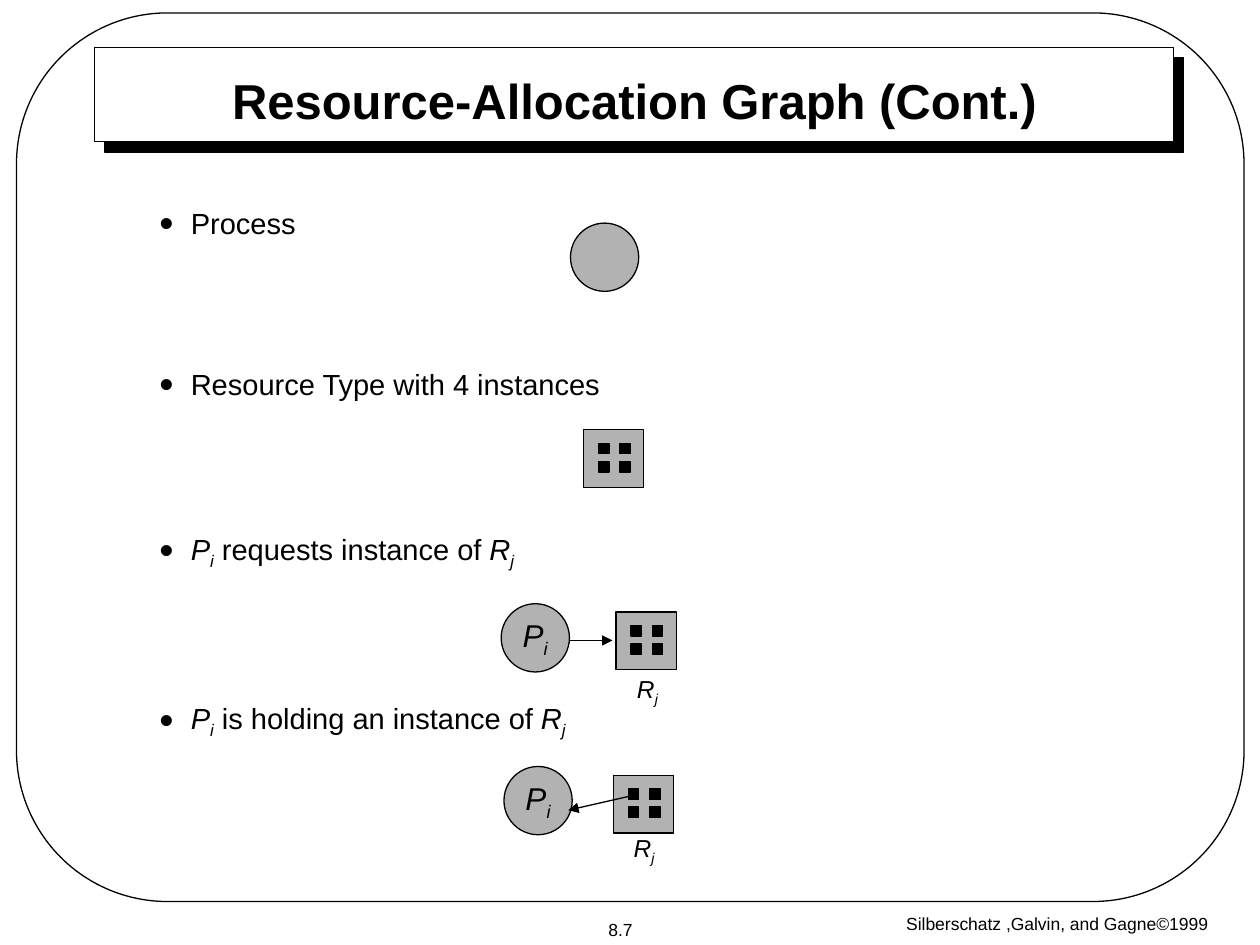
from lxml import etree
from pptx import Presentation
from pptx.dml.color import RGBColor
from pptx.enum.shapes import MSO_CONNECTOR, MSO_SHAPE
from pptx.enum.text import MSO_ANCHOR, MSO_AUTO_SIZE, PP_ALIGN
from pptx.oxml import parse_xml
from pptx.oxml.ns import nsdecls, qn
from pptx.util import Pt

RECTANGLE = MSO_SHAPE.RECTANGLE
ROUNDED = MSO_SHAPE.ROUNDED_RECTANGLE
ELLIPSE = MSO_SHAPE.OVAL
STRAIGHT = MSO_CONNECTOR.STRAIGHT
MIDDLE, TOP = MSO_ANCHOR.MIDDLE, MSO_ANCHOR.TOP
CENTER, LEFT = PP_ALIGN.CENTER, PP_ALIGN.LEFT
NO_AUTOFIT = MSO_AUTO_SIZE.NONE

# A text is a list of (words, style); styles: "" plain, "i" italic, "s" italic subscript.
PROCESS_NAME = [("P", "i"), ("i", "s")]
RESOURCE_NAME = [("R", "i"), ("j", "s")]


def color(hex_string):
    return RGBColor.from_string(hex_string)


class GraphSlide:
    font_name = "Arial"
    ink = "000000"
    paper = "FFFFFF"
    node_fill = "B2B2B2"
    line_width = 0.75
    circle_size = 39
    resource_size = (34.5, 33)
    dot_size = 6
    dot_offset = (8.6, 7.8)
    dot_step = (12.2, 10.4)

    def __init__(self, slide):
        self.slide = slide

    def format_line(self, line):
        line.color.rgb = color(self.ink)
        line.width = Pt(self.line_width)

    def shape(self, kind, left, top, width, height, fill=None, parent=None):
        shapes = (parent or self.slide).shapes
        shape = shapes.add_shape(kind, Pt(left), Pt(top), Pt(width), Pt(height))
        shape.shadow.inherit = False
        if fill:
            shape.fill.solid()
            shape.fill.fore_color.rgb = color(fill)
        else:
            shape.fill.background()
        self.format_line(shape.line)
        return shape

    def title_frame(self, left, top, width, height):
        frame = self.shape(RECTANGLE, left, top, width, height, self.paper)
        effects = frame._element.spPr.find(qn("a:effectLst"))
        effects.append(parse_xml(
            f'<a:outerShdw {nsdecls("a")} dist="107950" dir="2700000" algn="tl" '
            f'rotWithShape="0"><a:srgbClr val="{self.ink}"/></a:outerShdw>'))

    def fill_paragraph(self, paragraph, parts, size, align=CENTER, bold=False):
        paragraph.alignment = align
        font = paragraph.font
        font.name, font.size, font.bold = self.font_name, Pt(size), bold
        font.color.rgb = color(self.ink)
        for words, style in parts:
            run = paragraph.add_run()
            run.text = words
            if style:
                run.font.italic = True
            if style == "s":
                run._r.get_or_add_rPr().set("baseline", "-25000")

    def title(self, text, left, top, width, height):
        title = self.slide.shapes.title
        title.left, title.top = Pt(left), Pt(top)
        title.width, title.height = Pt(width), Pt(height)
        frame = title.text_frame
        frame.auto_size = NO_AUTOFIT
        frame.vertical_anchor = MIDDLE
        self.fill_paragraph(frame.paragraphs[0], [(text, "")], 28, bold=True)
        # Bring the title in front of its frame
        title._element.getparent().append(title._element)

    def text_box(self, left, top, width, height, anchor=MIDDLE, wrap=False):
        box = self.slide.shapes.add_textbox(Pt(left), Pt(top), Pt(width), Pt(height))
        frame = box.text_frame
        frame.auto_size = NO_AUTOFIT
        frame.word_wrap = wrap
        frame.vertical_anchor = anchor
        return frame

    def label(self, parts, size, left, top, width, height):
        frame = self.text_box(left, top, width, height)
        self.fill_paragraph(frame.paragraphs[0], parts, size)

    def bullets(self, items, left, top, width, height):
        """Set (space before, parts) items as one bulleted list."""
        frame = self.text_box(left, top, width, height, TOP, wrap=True)
        for index, (space, parts) in enumerate(items):
            paragraph = frame.add_paragraph() if index else frame.paragraphs[0]
            properties = paragraph._p.get_or_add_pPr()
            properties.set("marL", str(Pt(18)))
            properties.set("indent", str(-Pt(18)))
            bullet_color = etree.SubElement(properties, qn("a:buClr"))
            etree.SubElement(bullet_color, qn("a:srgbClr"), val=self.ink)
            etree.SubElement(properties, qn("a:buSzPct"), val="140000")
            etree.SubElement(properties, qn("a:buFont"), typeface=self.font_name)
            etree.SubElement(properties, qn("a:buChar"), char="•")
            if index:
                paragraph.space_before = Pt(space)
            self.fill_paragraph(paragraph, parts, 16.6, LEFT)

    def process(self, left, top, parts=()):
        circle = self.shape(ELLIPSE, left, top, self.circle_size, self.circle_size,
                            self.node_fill)
        if parts:
            frame = circle.text_frame
            frame.word_wrap = False
            frame.vertical_anchor = MIDDLE
            self.fill_paragraph(frame.paragraphs[0], parts, 18)

    def resource(self, left, top):
        """Draw a resource type as a box with a 2 by 2 grid of instances."""
        group = self.slide.shapes.add_group_shape()
        self.shape(RECTANGLE, left, top, *self.resource_size, self.node_fill, group)
        for row in range(2):
            for column in range(2):
                self.shape(RECTANGLE,
                           left + self.dot_offset[0] + column * self.dot_step[0],
                           top + self.dot_offset[1] + row * self.dot_step[1],
                           self.dot_size, self.dot_size, self.ink, group)

    def arrow(self, start, end):
        points = [Pt(value) for value in (*start, *end)]
        connector = self.slide.shapes.add_connector(STRAIGHT, *points)
        self.format_line(connector.line)
        line = connector._element.spPr.find(qn("a:ln"))
        etree.SubElement(line, qn("a:tailEnd"), type="triangle")
        etree.SubElement(connector._element.spPr, qn("a:effectLst"))


def main():
    presentation = Presentation()
    presentation.slide_width, presentation.slide_height = Pt(720), Pt(540)
    layout = presentation.slide_layouts.get_by_name("Title Only")
    graph = GraphSlide(presentation.slides.add_slide(layout))

    graph.title_frame(54, 27, 616.5, 54)
    border = graph.shape(ROUNDED, 9.4, 7.4, 701.5, 507.8)
    border.adjustments[0] = 0.17
    graph.label([("Silberschatz ,Galvin, and Gagne©1999", "")], 10, 490, 515, 228, 25)
    graph.label([("8.7", "")], 10, 320.5, 521.5, 68, 19.5)
    graph.title("Resource-Allocation Graph (Cont.)", 91.5, 39, 542, 36)

    graph.bullets([
        (0, [("Process", "")]),
        (72, [("Resource Type with 4 instances", "")]),
        (74, PROCESS_NAME + [(" requests instance of ", "")] + RESOURCE_NAME),
        (74, PROCESS_NAME + [(" is holding an instance of ", "")] + RESOURCE_NAME),
    ], 84, 114, 554, 324)

    graph.process(326, 127.5)
    graph.resource(333.4, 245.6)

    graph.process(286.4, 345, PROCESS_NAME)
    graph.resource(352, 349.7)
    graph.arrow((326, 366), (350, 366))
    graph.label(RESOURCE_NAME, 14, 357, 381.6, 26, 26.6)

    graph.process(288, 438, PROCESS_NAME)
    graph.resource(350.5, 443)
    graph.arrow((362, 454.5), (324.7, 463))
    graph.label(RESOURCE_NAME, 14, 355, 472.3, 26, 26.6)

    presentation.save("out.pptx")


if __name__ == "__main__":
    main()
